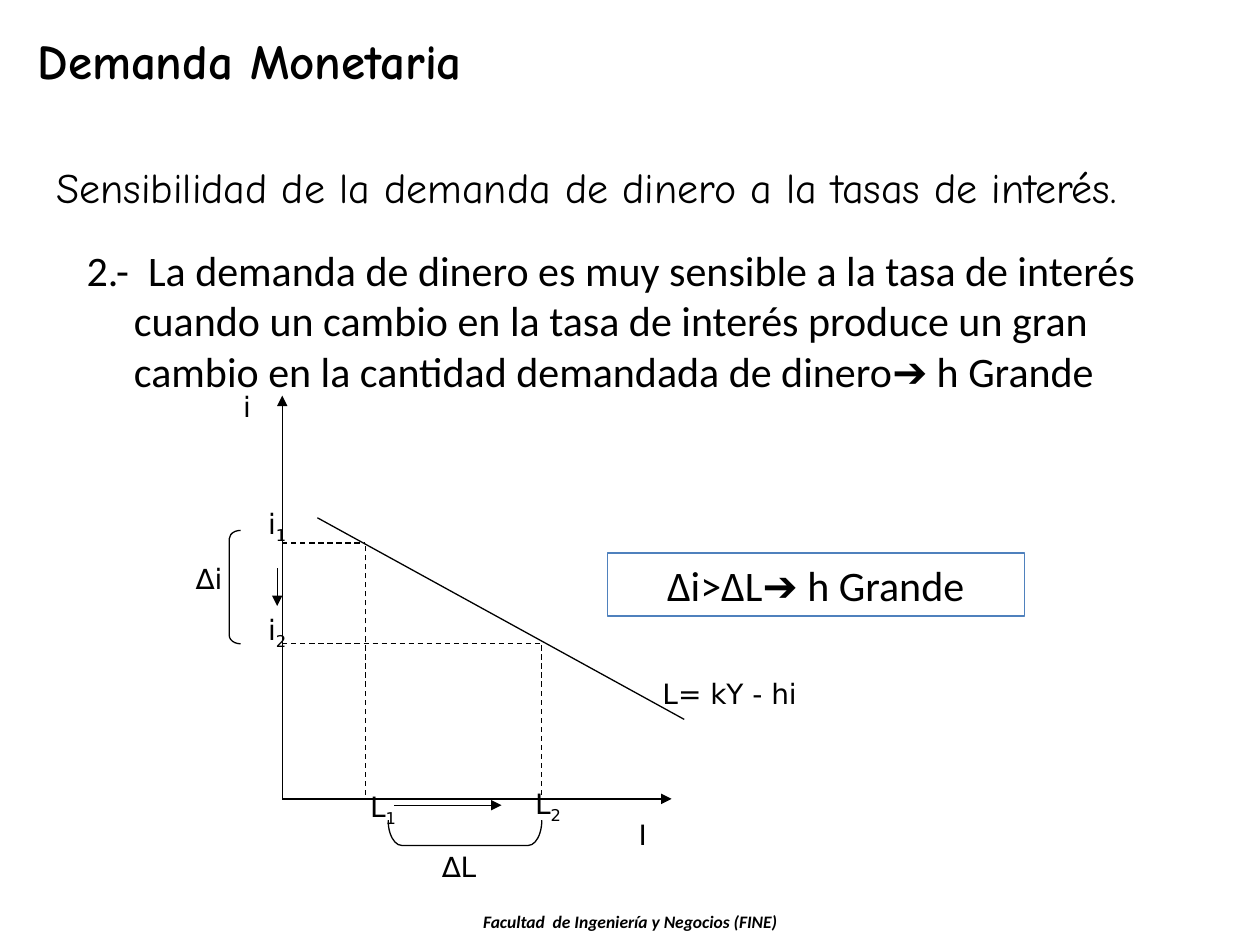
import pptx
import pptx.dml.color
import pptx.enum.dml
import pptx.enum.shapes
import pptx.enum.text
import pptx.oxml.ns
import pptx.util
from lxml import etree

Pt = pptx.util.Pt
ALIGN = pptx.enum.text.PP_ALIGN
ANCHOR = pptx.enum.text.MSO_ANCHOR
SHAPE = pptx.enum.shapes.MSO_SHAPE
qn = pptx.oxml.ns.qn

BLACK = pptx.dml.color.RGBColor(0x00, 0x00, 0x00)
BLUE = pptx.dml.color.RGBColor(0x4F, 0x81, 0xBD)

BODY_FONT = "Calibri"
TITLE_FONT = "Comic Neue"
GRAPH_FONT = "DejaVu Sans"

AXIS_X, AXIS_Y = 161.3, 456.5
RATE_1, RATE_2 = 310.3, 367.9
MONEY_1, MONEY_2 = 208.8, 309.6
GUIDE_END = 454.3


def write_text(frame, text, size, font, align=ALIGN.LEFT, bold=False,
               italic=False, subscript="", hanging=0):
    frame.word_wrap = True
    paragraph = frame.paragraphs[0]
    paragraph.alignment = align
    if hanging:
        properties = paragraph._p.get_or_add_pPr()
        properties.set("marL", str(Pt(hanging)))
        properties.set("indent", str(-Pt(hanging)))
    for part in filter(None, (text, subscript)):
        run = paragraph.add_run()
        run.text = part
        run.font.size = Pt(size)
        run.font.name = font
        run.font.bold = bold
        run.font.italic = italic
        run.font.color.rgb = BLACK
        if part == subscript:
            run.font._element.set("baseline", "-25000")


def add_text(slide, box, text, size, font, anchor=ANCHOR.TOP, **style):
    frame = slide.shapes.add_textbox(*map(Pt, box)).text_frame
    frame.vertical_anchor = anchor
    write_text(frame, text, size, font, **style)


def add_label(slide, box, text, subscript="", align=ALIGN.CENTER):
    add_text(slide, box, text, 16, GRAPH_FONT, align=align, subscript=subscript)


def add_line(slide, start, end, dashed=False, arrow=False):
    line = slide.shapes.add_connector(
        pptx.enum.shapes.MSO_CONNECTOR.STRAIGHT, *map(Pt, start + end))
    line.line.color.rgb = BLACK
    line.line.width = Pt(0.75)
    if dashed:
        line.line.dash_style = pptx.enum.dml.MSO_LINE.DASH
    if arrow:
        etree.SubElement(line.line._get_or_add_ln(), qn("a:tailEnd"), type="triangle")
    etree.SubElement(line._element.spPr, qn("a:effectLst"))


def add_outline(slide, kind, box, color):
    outline = slide.shapes.add_shape(kind, *map(Pt, box))
    outline.shadow.inherit = False
    outline.fill.background()
    outline.line.color.rgb = color
    outline.line.width = Pt(0.75)
    return outline


def add_bracket(slide, box, curve, rotation=0):
    bracket = add_outline(slide, SHAPE.LEFT_BRACKET, box, BLACK)
    bracket.adjustments[0] = curve
    bracket.rotation = rotation


def add_conclusion(slide):
    conclusion = add_outline(slide, SHAPE.RECTANGLE, (347, 316.1, 238.3, 36), BLUE)
    conclusion.text_frame.vertical_anchor = ANCHOR.TOP
    write_text(conclusion.text_frame, "∆i>∆L➔ h Grande", 24, BODY_FONT, align=ALIGN.CENTER)


def add_demand_graph(slide):
    add_line(slide, (AXIS_X, AXIS_Y), (AXIS_X, 226.1), arrow=True)
    add_line(slide, (AXIS_X, AXIS_Y), (383.8, AXIS_Y), arrow=True)
    add_line(slide, (181.4, 295.9), (391, 411.1))
    for money, rate in ((MONEY_1, RATE_1), (MONEY_2, RATE_2)):
        add_line(slide, (AXIS_X, rate), (money, rate), dashed=True)
        add_line(slide, (money, GUIDE_END), (money, rate), dashed=True)
    add_line(slide, (158.4, 324.7), (158.4, 346.3), arrow=True)
    add_line(slide, (225.4, 460.1), (286.6, 460.1), arrow=True)
    add_bracket(slide, (131, 303.1, 6.5, 64.8), 0.74)
    add_bracket(slide, (258.5, 432, 14.4, 87.8), 0.54, rotation=270)

    add_label(slide, (121, 218.9, 40.3, 33.8), "i")
    add_label(slide, (303.1, 463.7, 128.2, 33.8), "I")
    add_label(slide, (138.2, 285.8, 40.3, 33.8), "i", "1")
    add_label(slide, (138.2, 346.3, 40.3, 33.8), "i", "2")
    add_label(slide, (178.6, 447.8, 80.6, 33.8), "L", "1")
    add_label(slide, (272.9, 445.7, 80.6, 33.8), "L", "2")
    add_label(slide, (100.8, 317.5, 37.4, 26.6), "∆i")
    add_label(slide, (185, 481.7, 154.8, 33.8), "∆L")
    add_label(slide, (371.5, 383, 103.7, 26.6), "L= kY - hi", align=ALIGN.LEFT)


def main():
    deck = pptx.Presentation()
    deck.slide_width, deck.slide_height = Pt(720), Pt(540)
    slide = deck.slides.add_slide(deck.slide_layouts[6])

    add_text(slide, (42.5, 136.1, 652.3, 94.3),
             "2.-  La demanda de dinero es muy sensible a la tasa de interés "
             "cuando un cambio en la tasa de interés produce un gran cambio en "
             "la cantidad demandada de dinero➔ h Grande",
             24, BODY_FONT, hanging=27)
    add_demand_graph(slide)
    add_conclusion(slide)
    add_text(slide, (25.2, 73.4, 674.6, 51.1),
             "Sensibilidad de la demanda de dinero a la tasas de interés.",
             24, TITLE_FONT, anchor=ANCHOR.BOTTOM)
    add_text(slide, (14.4, 13.7, 491.8, 41), "Demanda Monetaria", 28, TITLE_FONT, bold=True)
    add_text(slide, (184.3, 517, 351.4, 19.4), "Facultad  de Ingeniería y Negocios (FINE)",
             10, BODY_FONT, align=ALIGN.CENTER, bold=True, italic=True)

    deck.save("out.pptx")


if __name__ == "__main__":
    main()
